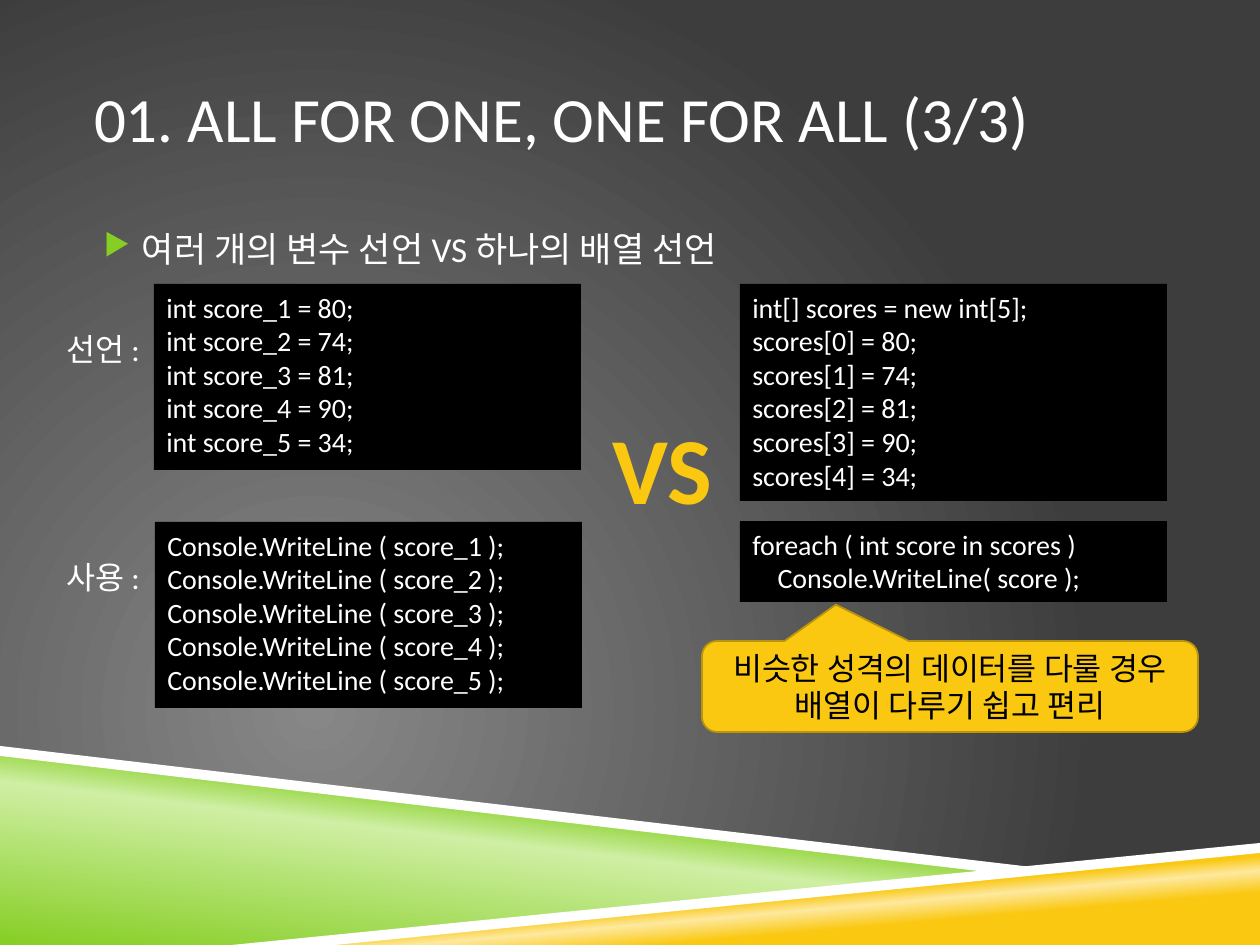
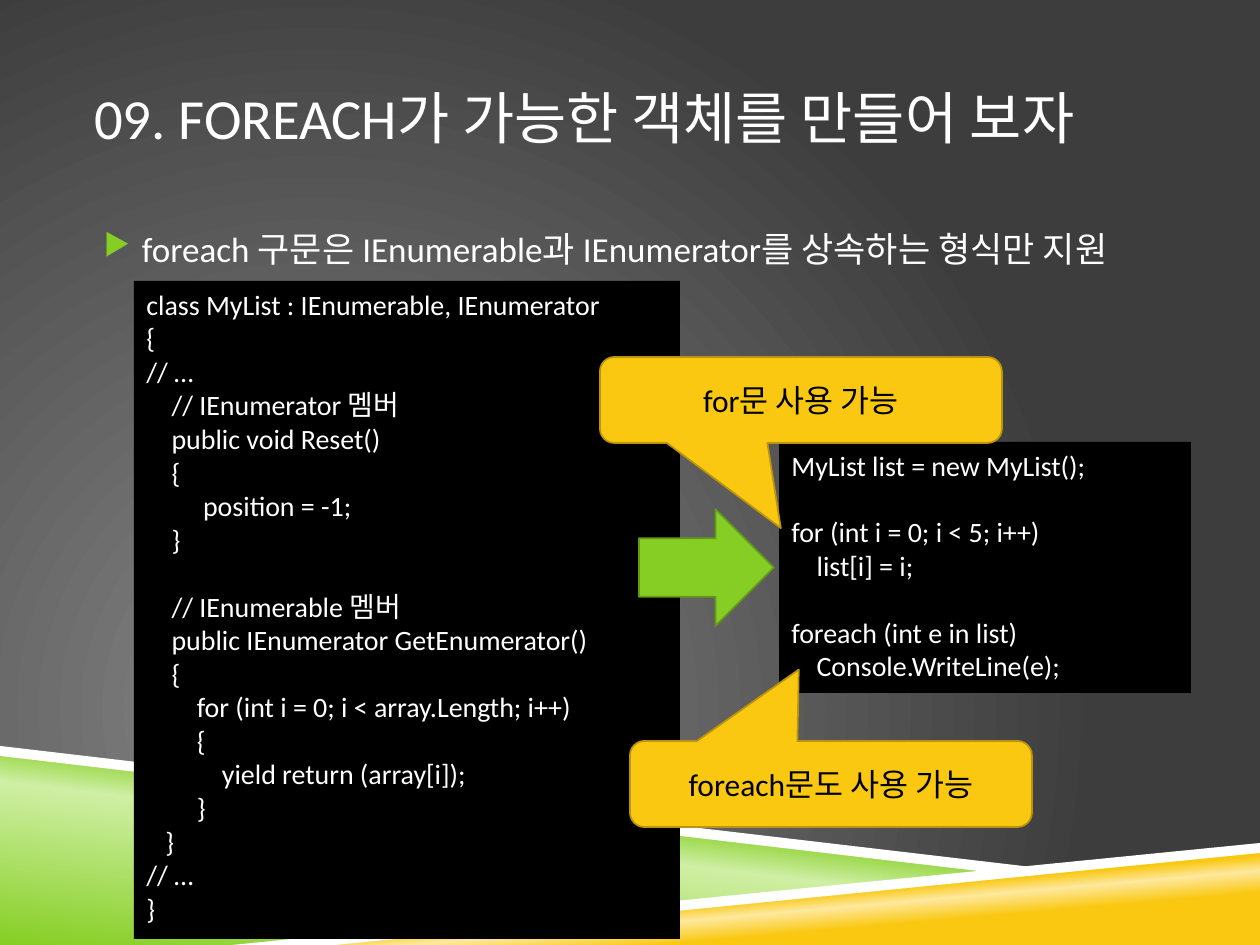
import collections

import lxml.etree
import pptx
import pptx.dml.color
import pptx.enum.shapes
import pptx.enum.text
import pptx.oxml.ns
import pptx.util

PIXEL = 914400 / 126
FONT = "Calibri"
WHITE, BLACK = "FFFFFF", "000000"
GREEN, LIGHT_GREEN, DARK_GREEN = "86CE24", "CFEFA4", "63981B"
YELLOW, LIGHT_YELLOW, DARK_YELLOW = "FAC810", "FDE99F", "B9940C"
CODE_SIZE = 16
CODE_LINE = 19
SPACE_WIDTH = 6.3

SHAPES = pptx.enum.shapes.MSO_SHAPE
ALIGN = pptx.enum.text.PP_ALIGN
ANCHOR = pptx.enum.text.MSO_ANCHOR

VARIABLES = "\n".join(f"int score_{number} = {score};"
                      for number, score in enumerate((80, 74, 81, 90, 34), 1))
ARRAY = "int[] scores = new int[5];\n" + "\n".join(
    f"scores[{index}] = {score};" for index, score in enumerate((80, 74, 81, 90, 34)))
PRINT_VARIABLES = "\n".join(f"Console.WriteLine ( score_{number} );" for number in range(1, 6))
PRINT_ARRAY = """foreach ( int score in scores )
    Console.WriteLine( score );"""
LIST_CLASS = """class MyList : IEnumerable, IEnumerator
{
// …
    // IEnumerator 멤버
    public void Reset()
    {
         position = -1;
    }

    // IEnumerable 멤버
    public IEnumerator GetEnumerator()
    {
        for (int i = 0; i < array.Length; i++)
        {
            yield return (array[i]);
        }
   }
// …
}"""
LIST_USE = """MyList list = new MyList();

for (int i = 0; i < 5; i++)
    list[i] = i;

foreach (int e in list)
    Console.WriteLine(e);"""


class Box(collections.namedtuple("Box", "left top width height")):
    """A rectangle in px."""

    def inner(self, left, top, width, height):
        """Return a box placed relative to this one."""
        return Box(self.left + left, self.top + top, width, height)

    def emu(self):
        """Return the four lengths in EMU."""
        return [emu(length) for length in self]


def emu(length):
    """Turn px into EMU."""
    return pptx.util.Emu(round(length * PIXEL))


def color(value):
    """Turn a hex string into a colour."""
    return pptx.dml.color.RGBColor.from_string(value)


def add_xml(parent, tag, **attributes):
    """Append a drawing element to a parent."""
    return lxml.etree.SubElement(parent, pptx.oxml.ns.qn(tag), attributes)


def fill_gradient(fill, owner, stops, angle=None):
    """Fill with a linear gradient, or a circular one from the lower left."""
    fill.gradient()
    gradient = next(owner.iter(pptx.oxml.ns.qn("a:gradFill")))
    for child in list(gradient):
        gradient.remove(child)
    stop_list = add_xml(gradient, "a:gsLst")
    for position, value in stops:
        stop = add_xml(stop_list, "a:gs", pos=str(position * 1000))
        add_xml(stop, "a:srgbClr", val=value)
    if angle is None:
        circle = add_xml(gradient, "a:path", path="circle")
        add_xml(circle, "a:fillToRect", l="50000", t="100000", r="100000", b="50000")
    else:
        add_xml(gradient, "a:lin", ang=str(angle * 60000), scaled="0")


def format_runs(paragraph, size, value, bold=False):
    """Set the font of every run in a paragraph."""
    for run in paragraph.runs:
        run.font.name = FONT
        run.font.size = pptx.util.Pt(size)
        run.font.bold = bold
        run.font.color.rgb = color(value)


def add_bands(slide, master, box):
    """Draw the slanted bands at the foot and move them to the master."""
    green = [(0, GREEN), (52, LIGHT_GREEN), (66, GREEN)]
    yellow = [(28, YELLOW), (40, LIGHT_YELLOW), (48, YELLOW)]
    bands = [
        ([(0, 6), (998, 126), (252, 199), (0, 199)], green, 277),
        ([(249, 199), (1260, 101), (1260, 199)], yellow, 265),
        ([(0, 0), (0, 10), (995, 127), (1048, 123)], None, None),
        ([(1260, 97), (232, 199), (335, 199), (1260, 107)], None, None),
    ]
    for index, (points, stops, angle) in enumerate(bands):
        corners = [(box.left + x, box.top + y) for x, y in points]
        builder = slide.shapes.build_freeform(*corners[0], scale=PIXEL)
        builder.add_line_segments(corners[1:], close=True)
        band = builder.convert_to_shape()
        band.shadow.inherit = False
        band.line.fill.background()
        if stops:
            fill_gradient(band.fill, band.element, stops, angle)
        else:
            band.fill.solid()
            band.fill.fore_color.rgb = color(WHITE)
        band.element.nvSpPr.cNvPr.id = 100 + index
        master.shapes.element.insert(2 + index, band.element)


def add_heading(slide, box, title, title_size, point):
    """Set the title and the bulleted line below it."""
    slide.shapes.title.left, slide.shapes.title.top, \
        slide.shapes.title.width, slide.shapes.title.height = box.inner(0, 0, 1071, 158).emu()
    body = slide.shapes.add_textbox(*box.inner(0, 183, 1071, 540).emu())
    for shape, text, size, anchor in ((slide.shapes.title, title, title_size, ANCHOR.MIDDLE),
                                      (body, point, 20, ANCHOR.TOP)):
        frame = shape.text_frame
        frame.text = text
        frame.word_wrap = True
        frame.auto_size = pptx.enum.text.MSO_AUTO_SIZE.NONE
        frame.vertical_anchor = anchor
        frame.margin_left = frame.margin_right = 0
        frame.paragraphs[0].alignment = ALIGN.LEFT
        format_runs(frame.paragraphs[0], size, WHITE)
    paragraph = body.text_frame.paragraphs[0]
    paragraph.space_before = pptx.util.Pt(7)
    properties = paragraph._p.get_or_add_pPr()
    properties.set("marL", str(emu(48)))
    properties.set("indent", str(emu(-38)))
    add_xml(add_xml(properties, "a:buClr"), "a:srgbClr", val=GREEN)
    add_xml(properties, "a:buSzPct", val="85000")
    add_xml(properties, "a:buChar", char="▶")


def add_filled(slide, kind, box, fill, line=None):
    """Add a preset shape with a plain fill and an optional outline."""
    shape = slide.shapes.add_shape(kind, *box.emu())
    shape.shadow.inherit = False
    shape.fill.solid()
    shape.fill.fore_color.rgb = color(fill)
    if line:
        shape.line.color.rgb = color(line)
        shape.line.width = pptx.util.Pt(1)
    else:
        shape.line.fill.background()
    return shape


def add_code(slide, box, code):
    """Add a black panel of code, with indents and gaps taken from its lines."""
    frame = add_filled(slide, SHAPES.RECTANGLE, box, BLACK).text_frame
    frame.word_wrap = True
    frame.vertical_anchor = ANCHOR.TOP
    paragraph, gap = frame.paragraphs[0], 0
    for number, line in enumerate(code.split("\n")):
        if not line:
            gap += CODE_LINE
            continue
        if number:
            paragraph = frame.add_paragraph()
        paragraph.text = line.lstrip()
        paragraph.alignment = ALIGN.LEFT
        paragraph.space_before = pptx.util.Pt(gap)
        indent = emu((len(line) - len(line.lstrip())) * SPACE_WIDTH)
        paragraph._p.get_or_add_pPr().set("marL", str(indent))
        format_runs(paragraph, CODE_SIZE, WHITE)
        gap = 0


def add_callout(slide, box, text, tip):
    """Add a yellow speech bubble whose tip is given relative to its centre."""
    callout = add_filled(slide, SHAPES.ROUNDED_RECTANGULAR_CALLOUT, box, YELLOW, DARK_YELLOW)
    callout.adjustments[0], callout.adjustments[1] = tip
    frame = callout.text_frame
    frame.text = text
    frame.word_wrap = True
    frame.vertical_anchor = ANCHOR.MIDDLE
    frame.paragraphs[0].alignment = ALIGN.CENTER
    format_runs(frame.paragraphs[0], 18, BLACK)


def add_label(slide, box, text, size=18, value=WHITE, bold=False, alignment=ALIGN.LEFT):
    """Add a one-line text box."""
    frame = slide.shapes.add_textbox(*box.emu()).text_frame
    frame.text = text
    frame.word_wrap = False
    frame.paragraphs[0].alignment = alignment
    format_runs(frame.paragraphs[0], size, value, bold)


def add_comparison(slide, box):
    """Set separate variables against one array."""
    add_code(slide, box.inner(100, 0, 427, 186), VARIABLES)
    add_code(slide, box.inner(686, 0, 427, 217), ARRAY)
    add_code(slide, box.inner(101, 238, 427, 186), PRINT_VARIABLES)
    add_code(slide, box.inner(686, 237, 427, 81), PRINT_ARRAY)
    for top, label in ((40, "선언 :"), (268, "사용 :")):
        add_label(slide, box.inner(0, top, 111, 50), label)
    add_label(slide, box.inner(533, 120, 151, 127), "VS", 54, YELLOW, True, ALIGN.CENTER)
    add_callout(slide, box.inner(648, 357, 496, 91),
                "비슷한 성격의 데이터를 다룰 경우 배열이 다루기 쉽고 편리", (-0.23, -0.9))


def add_enumeration(slide, box):
    """Show a class that can be enumerated and the loops that use it."""
    add_code(slide, box.inner(0, 0, 546, 658), LIST_CLASS)
    add_code(slide, box.inner(645, 161, 412, 251), LIST_USE)
    add_filled(slide, SHAPES.RIGHT_ARROW, box.inner(505, 228, 135, 117), GREEN, DARK_GREEN)
    add_callout(slide, box.inner(466, 76, 402, 86), "for문 사용 가능", (-0.05, 1.49))
    add_callout(slide, box.inner(496, 460, 402, 86), "foreach문도 사용 가능", (-0.08, -1.33))


def main():
    """Build the presentation."""
    presentation = pptx.Presentation()
    presentation.slide_width, presentation.slide_height = emu(1260), emu(945)
    master = presentation.slide_master
    fill_gradient(master.background.fill, master.element, [(0, "878787"), (100, "3D3D3D")])
    pages = [
        ("01. ALL FOR ONE, ONE FOR ALL (3/3)", 36,
         "여러 개의 변수 선언 VS 하나의 배열 선언", add_comparison, Box(54, 284, 1144, 448)),
        ("09. FOREACH가 가능한 객체를 만들어 보자", 32.4,
         "foreach 구문은 IEnumerable과 IEnumerator를 상속하는 형식만 지원",
         add_enumeration, Box(134, 281, 1057, 658)),
    ]
    for number, (title, size, point, add_content, box) in enumerate(pages):
        slide = presentation.slides.add_slide(presentation.slide_layouts[5])
        if number == 0:
            add_bands(slide, master, Box(0, 746, 1260, 199))
        add_heading(slide, Box(94, 38, 1071, 723), title, size, point)
        add_content(slide, box)
    presentation.save("out.pptx")


if __name__ == "__main__":
    main()
